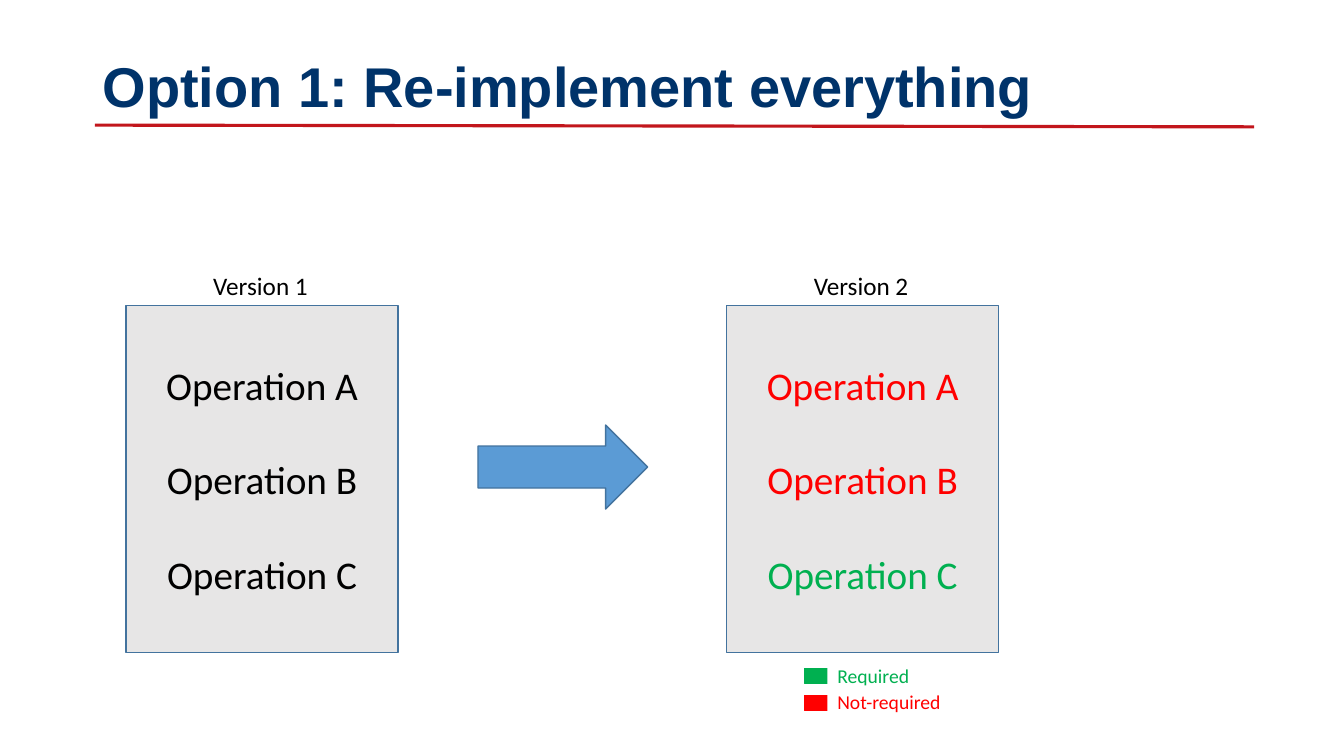
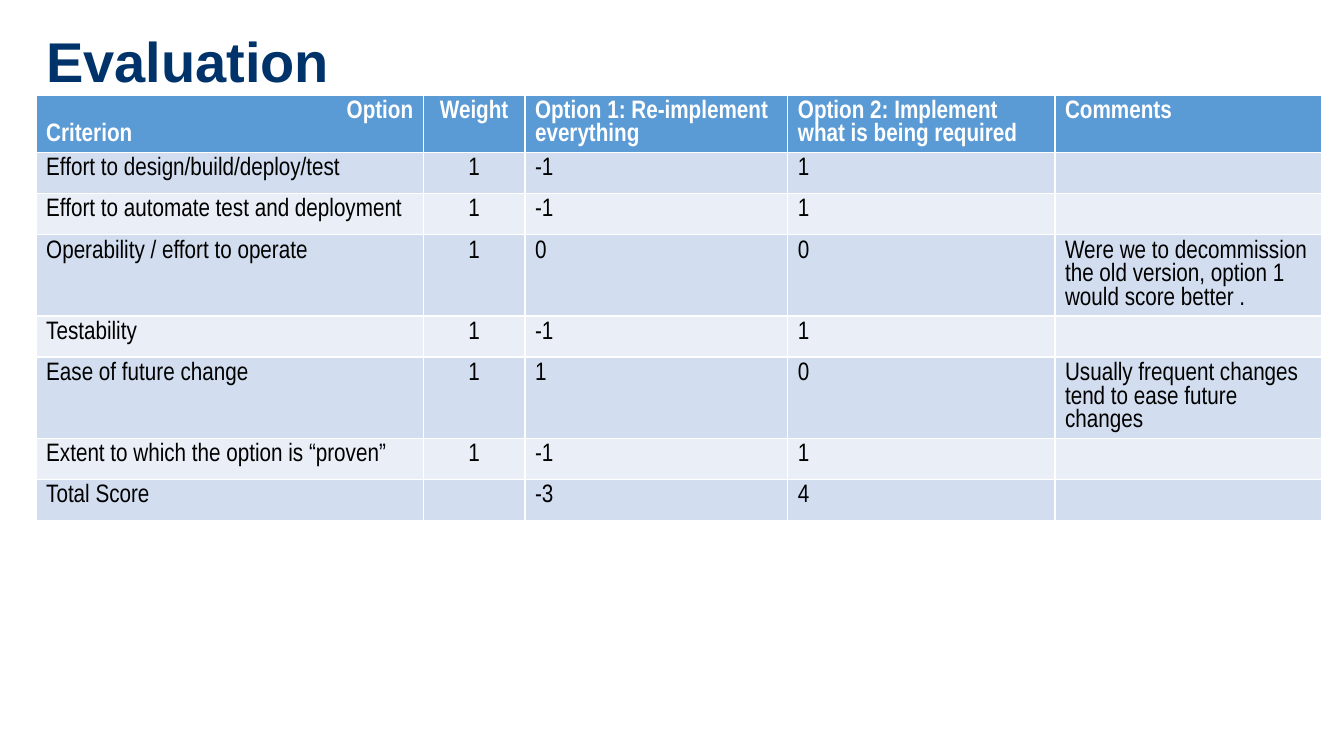
"""Build two slides weighing a full re-implementation against a partial one."""
from dataclasses import dataclass

from pptx import Presentation
from pptx.dml.color import RGBColor
from pptx.enum import shapes, text
from pptx.oxml import parse_xml
from pptx.oxml.ns import nsdecls
from pptx.util import Emu, Inches, Pt

prs = Presentation()
prs.slide_width, prs.slide_height = Inches(13.33), Inches(7.5)
COLUMN, ROW = prs.slide_width / 160, prs.slide_height / 90

NAVY, CRIMSON, BLACK, WHITE = "00336A", "C2161C", "000000", "FFFFFF"
GRAY, BLUE, OUTLINE = "E7E6E6", "5B9BD5", "43739E"
GREEN, RED = "00B050", "FF0000"
BANDS = ("D2DEEF", "EAEFF7")
LEFT, CENTER, RIGHT = text.PP_ALIGN.LEFT, text.PP_ALIGN.CENTER, text.PP_ALIGN.RIGHT
RECT, ARROW = shapes.MSO_SHAPE.RECTANGLE, shapes.MSO_SHAPE.RIGHT_ARROW


@dataclass(frozen=True)
class Frame:
    """A box measured in grid columns and rows."""
    x: float
    y: float
    w: float
    h: float

    def emu(self) -> tuple:
        """Return left, top, width and height as lengths."""
        return cols(self.x), rows(self.y), cols(self.w), rows(self.h)


@dataclass(frozen=True)
class Font:
    """The look of a run of text."""
    name: str
    size: float
    color: str = BLACK
    bold: bool = False


@dataclass(frozen=True)
class Version:
    """A version panel with one colour per operation."""
    label: str
    x: float
    colors: tuple


@dataclass(frozen=True)
class Key:
    """A legend entry."""
    label: str
    color: str
    width: float


def cols(n: float) -> Emu:
    """Convert grid columns to a length."""
    return Emu(round(n * COLUMN))


def rows(n: float) -> Emu:
    """Convert grid rows to a length."""
    return Emu(round(n * ROW))


def rgb(color: str) -> RGBColor:
    """Turn a hex string into a colour."""
    return RGBColor.from_string(color)


def style(p, font: Font, align=LEFT) -> None:
    """Format a paragraph and its runs."""
    p.alignment = align
    for r in p.runs:
        r.font.name, r.font.size, r.font.bold = font.name, Pt(font.size), font.bold
        r.font.color.rgb = rgb(font.color)


def add_slide(title: str, x: float, y: float):
    """Add a slide with the shared title style."""
    s = prs.slides.add_slide(prs.slide_layouts[5])
    sp = s.shapes.title
    sp.left, sp.top, sp.width, sp.height = Frame(x, y, 138, 10.1).emu()
    tf = sp.text_frame
    tf.text = title
    tf.vertical_anchor = text.MSO_ANCHOR.MIDDLE
    tf.auto_size = text.MSO_AUTO_SIZE.NONE
    tf.paragraphs[0].line_spacing = 0.9
    style(tf.paragraphs[0], Font("Arial", 40, NAVY, True))
    return s


def add_master_rule(s) -> None:
    """Draw the title rule and hand it to the slide master."""
    line = s.shapes.add_connector(shapes.MSO_CONNECTOR.STRAIGHT,
                                  cols(11.3), rows(14.9), cols(149.3), rows(15.1))
    line.line.color.rgb, line.line.width = rgb(CRIMSON), Pt(2.25)
    line.element.spPr.append(parse_xml(f"<a:effectLst {nsdecls('a')}/>"))
    line.element.xpath(".//p:cNvPr")[0].set("id", "20")
    prs.slide_master.shapes.element.append(line.element)


def add_block(s, kind, frame: Frame, fill: str, outline: str):
    """Add a flat filled shape."""
    sp = s.shapes.add_shape(kind, *frame.emu())
    sp.shadow.inherit = False
    sp.fill.solid()
    sp.fill.fore_color.rgb = rgb(fill)
    sp.line.color.rgb, sp.line.width = rgb(outline), Pt(1)
    return sp


def add_label(s, label: str, frame: Frame, font: Font):
    """Add a single line of text that does not wrap."""
    sp = s.shapes.add_textbox(*frame.emu())
    tf = sp.text_frame
    tf.text = label
    tf.word_wrap = False
    tf.auto_size = text.MSO_AUTO_SIZE.SHAPE_TO_FIT_TEXT
    style(tf.paragraphs[0], font)
    return sp


def add_version(s, version: Version) -> None:
    """Add a labelled panel of operations."""
    sp = add_block(s, RECT, Frame(version.x, 36.4, 32.4, 41.3), GRAY, OUTLINE)
    tf = sp.text_frame
    tf.text = "Operation A\nOperation B\nOperation C"
    tf.vertical_anchor = text.MSO_ANCHOR.MIDDLE
    for i, (p, color) in enumerate(zip(tf.paragraphs, version.colors)):
        p.space_before = Pt(34 if i else 0)
        style(p, Font("Calibri", 28, color), CENTER)
    add_label(s, version.label, Frame(version.x + 9.2, 31.6, 13.8, 4.8),
              Font("Calibri", 18))


def add_key(s, key: Key, y: float) -> None:
    """Add a legend swatch with its text."""
    add_block(s, RECT, Frame(95.8, y + 1.2, 2.8, 1.8), key.color, key.color)
    sp = add_label(s, key.label, Frame(98.5, y, key.width, 4.1),
                   Font("Calibri", 14, key.color))
    sp.fill.solid()
    sp.fill.fore_color.rgb = rgb(WHITE)


def add_scores(s, records: tuple, x: float, y: float, widths: tuple, height: float) -> None:
    """Add the banded score table."""
    frame = Frame(x, y, sum(widths), height * len(records))
    table = s.shapes.add_table(len(records), len(widths), *frame.emu()).table
    for column, width in zip(table.columns, widths):
        column.width = cols(width)
    for i, record in enumerate(records):
        table.rows[i].height = rows(height)
        font = Font("Arial Narrow", 18, BLACK if i else WHITE, not i)
        for j, value in enumerate(record):
            cell = table.cell(i, j)
            cell.fill.solid()
            cell.fill.fore_color.rgb = rgb(BANDS[(i - 1) % 2] if i else BLUE)
            cell.text_frame.text = value
            for p in cell.text_frame.paragraphs:
                style(p, font, CENTER if j == 1 else LEFT)
    table.cell(0, 0).text_frame.paragraphs[0].alignment = RIGHT


VERSIONS = (Version("Version 1", 15, (BLACK, BLACK, BLACK)),
            Version("Version 2", 86.5, (RED, RED, GREEN)))
KEYS = (Key("Required", GREEN, 11), Key("Not-required", RED, 14.9))
SCORES = (
    ("Option\nCriterion", "Weight", "Option 1: Re-implement everything",
     "Option 2: Implement what is being required", "Comments"),
    ("Effort to design/build/deploy/test", "1", "-1", "1", ""),
    ("Effort to automate test and deployment", "1", "-1", "1", ""),
    ("Operability / effort to operate", "1", "0", "0",
     "Were we to decommission the old version, option 1 would score better ."),
    ("Testability", "1", "-1", "1", ""),
    ("Ease of future change", "1", "1", "0",
     "Usually frequent changes tend to ease future changes"),
    ("Extent to which the option is “proven”", "1", "-1", "1", ""),
    ("Total Score", "", "-3", "4", ""),
)

option = add_slide("Option 1: Re-implement everything", 11, 5.6)
add_master_rule(option)
for version in VERSIONS:
    add_version(option, version)
add_block(option, ARROW, Frame(56.9, 50.6, 20.2, 10), BLUE, OUTLINE)
for i, key in enumerate(KEYS):
    add_key(option, key, 78.4 + 3.2 * i)

evaluation = add_slide("Evaluation", 4.3, 2.6)
add_scores(evaluation, SCORES, 4.3, 11.3, (46.1, 12.1, 31.3, 31.8, 31.8), 4.9)

prs.save("out.pptx")
